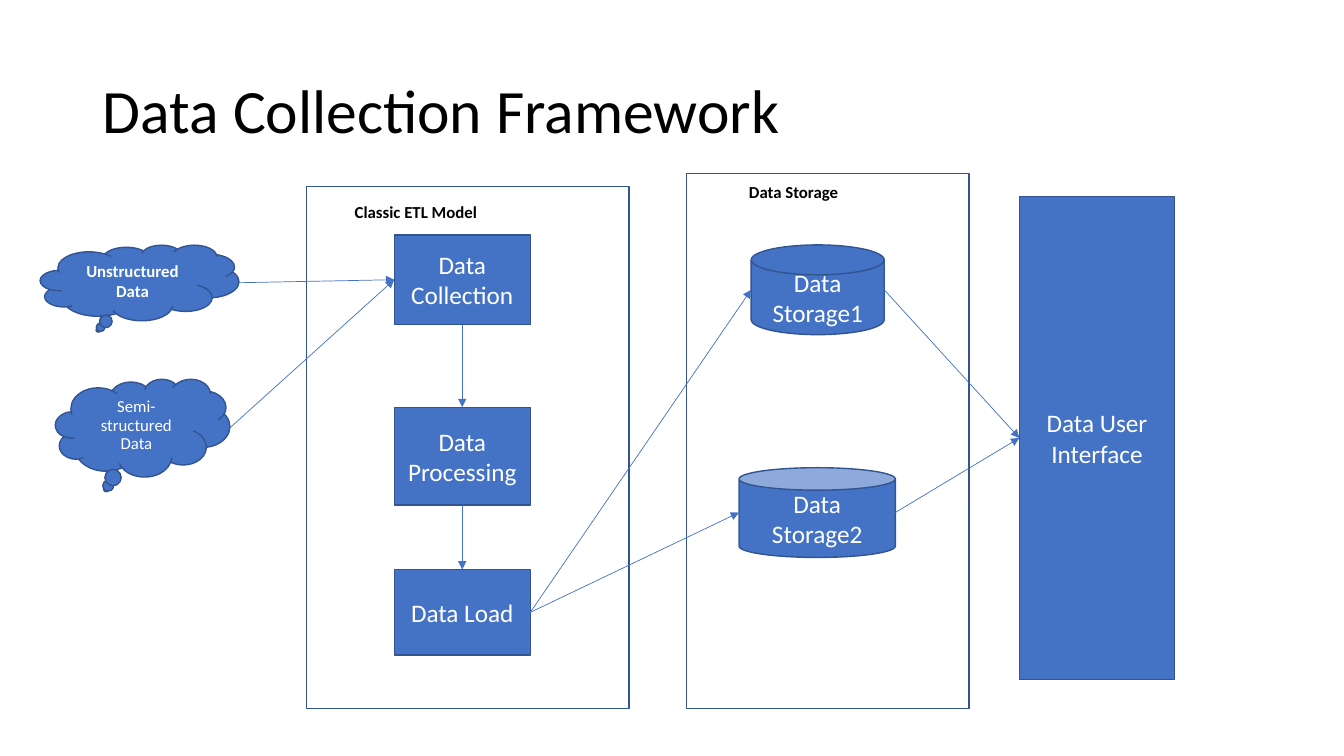
import pptx
import pptx.util
import pptx.dml.color
import pptx.enum.shapes
import pptx.enum.text
import pptx.oxml.ns
from lxml import etree

Inches, Pt = pptx.util.Inches, pptx.util.Pt
SHAPE = pptx.enum.shapes.MSO_SHAPE
ALIGN = pptx.enum.text.PP_ALIGN
ANCHOR = pptx.enum.text.MSO_ANCHOR
COLORS = {"node": "4472C4", "outline": "325491", "arrow": "4472C4",
          "on_node": "FFFFFF", "ink": "000000"}
FONT = "Calibri"


def rgb(name):
    return pptx.dml.color.RGBColor.from_string(COLORS[name])


def write(holder, text, size, color, bold=False, align=ALIGN.LEFT, anchor=ANCHOR.TOP):
    frame = holder.text_frame
    frame.word_wrap = True
    frame.vertical_anchor = anchor
    paragraph = frame.paragraphs[0]
    paragraph.alignment = align
    run = paragraph.add_run()
    run.text = text
    run.font.name, run.font.size, run.font.bold = FONT, Pt(size), bold
    run.font.color.rgb = rgb(color)
    return paragraph


def add_outlined(slide, kind, left, top, width, height):
    shape = slide.shapes.add_shape(kind, Inches(left), Inches(top), Inches(width), Inches(height))
    shape.shadow.inherit = False
    shape.line.color.rgb = rgb("outline")
    shape.line.width = Pt(1)
    return shape


def add_node(slide, kind, box, text, size=18, bold=False, line_spacing=None):
    node = add_outlined(slide, kind, *box)
    node.fill.solid()
    node.fill.fore_color.rgb = rgb("node")
    paragraph = write(node, text, size, "on_node", bold, ALIGN.CENTER, ANCHOR.MIDDLE)
    if line_spacing:
        paragraph.line_spacing = line_spacing
    return node


def add_frame(slide, box, caption, dx, dy, width):
    """Draw an unfilled region with its caption offset from the top left corner."""
    add_outlined(slide, SHAPE.RECTANGLE, *box).fill.background()
    label = slide.shapes.add_textbox(Inches(box[0] + dx), Inches(box[1] + dy),
                                     Inches(width), Inches(0.3))
    write(label, caption, 12, "ink", bold=True)


def side(shape, name):
    """Return the midpoint of the named side of a shape."""
    across = {"left": 0, "right": 1}.get(name, 0.5)
    down = {"top": 0, "bottom": 1}.get(name, 0.5)
    return (int(shape.left + across * shape.width), int(shape.top + down * shape.height))


def add_arrow(slide, source, target, start="right", end="left"):
    arrow = slide.shapes.add_connector(pptx.enum.shapes.MSO_CONNECTOR.STRAIGHT,
                                       *side(source, start), *side(target, end))
    arrow.line.color.rgb = rgb("arrow")
    arrow.line.width = Pt(0.5)
    qn = pptx.oxml.ns.qn
    etree.SubElement(arrow.line._get_or_add_ln(), qn("a:tailEnd"), type="triangle")
    etree.SubElement(arrow._element.spPr, qn("a:effectLst"))


def place_title(slide, left, top, width, height):
    title = slide.shapes.title
    title.left, title.top = Inches(left), Inches(top)
    title.width, title.height = Inches(width), Inches(height)
    paragraph = write(title, "Data Collection Framework", 44, "ink", anchor=ANCHOR.MIDDLE)
    paragraph.line_spacing = 0.9


def build_sources(slide, left, top):
    unstructured = add_node(slide, SHAPE.CLOUD_CALLOUT, (left, top, 1.97, 0.75),
                            "Unstructured Data", 12, bold=True)
    semi_structured = add_node(slide, SHAPE.CLOUD_CALLOUT, (left + 0.15, top + 1.33, 1.73, 0.97),
                               "Semi-structured Data", 12, line_spacing=0.9)
    return unstructured, semi_structured


def build_etl(slide, left, top, width, height):
    add_frame(slide, (left, top, width, height), "Classic ETL Model", 0.38, 0.1, 1.46)
    steps = [("Data Collection", 0.48, 0.89), ("Data Processing", 2.19, 0.97),
             ("Data Load", 3.8, 0.85)]
    nodes = [add_node(slide, SHAPE.RECTANGLE, (left + 0.87, top + dy, 1.35, step_height), text)
             for text, dy, step_height in steps]
    for upper, lower in zip(nodes, nodes[1:]):
        add_arrow(slide, upper, lower, "bottom", "top")
    return nodes[0], nodes[-1]


def build_storage(slide, left, top, width, height):
    add_frame(slide, (left, top, width, height), "Data Storage", 0.52, 0.03, 1.35)
    stores = [(SHAPE.FLOWCHART_MAGNETIC_DISK, "Data Storage1", 0.64, 0.71, 1.32),
              (SHAPE.CAN, "Data Storage2", 0.52, 2.92, 1.55)]
    return [add_node(slide, kind, (left + dx, top + dy, store_width, 0.89), text)
            for kind, text, dx, dy, store_width in stores]


def main():
    deck = pptx.Presentation()
    deck.slide_width, deck.slide_height = Inches(13.33), Inches(7.5)
    slide = deck.slides.add_slide(deck.slide_layouts.get_by_name("Title Only"))
    place_title(slide, 0.92, 0.4, 11.5, 1.45)
    sources = build_sources(slide, 0.4, 2.43)
    collection, load = build_etl(slide, 3.04, 1.85, 3.2, 5.18)
    stores = build_storage(slide, 6.81, 1.72, 2.8, 5.31)
    interface = add_node(slide, SHAPE.RECTANGLE, (10.11, 1.95, 1.54, 4.79),
                         "Data User Interface")
    for source in sources:
        add_arrow(slide, source, collection)
    for store in stores:
        add_arrow(slide, load, store)
        add_arrow(slide, store, interface)
    deck.save("out.pptx")


if __name__ == "__main__":
    main()
